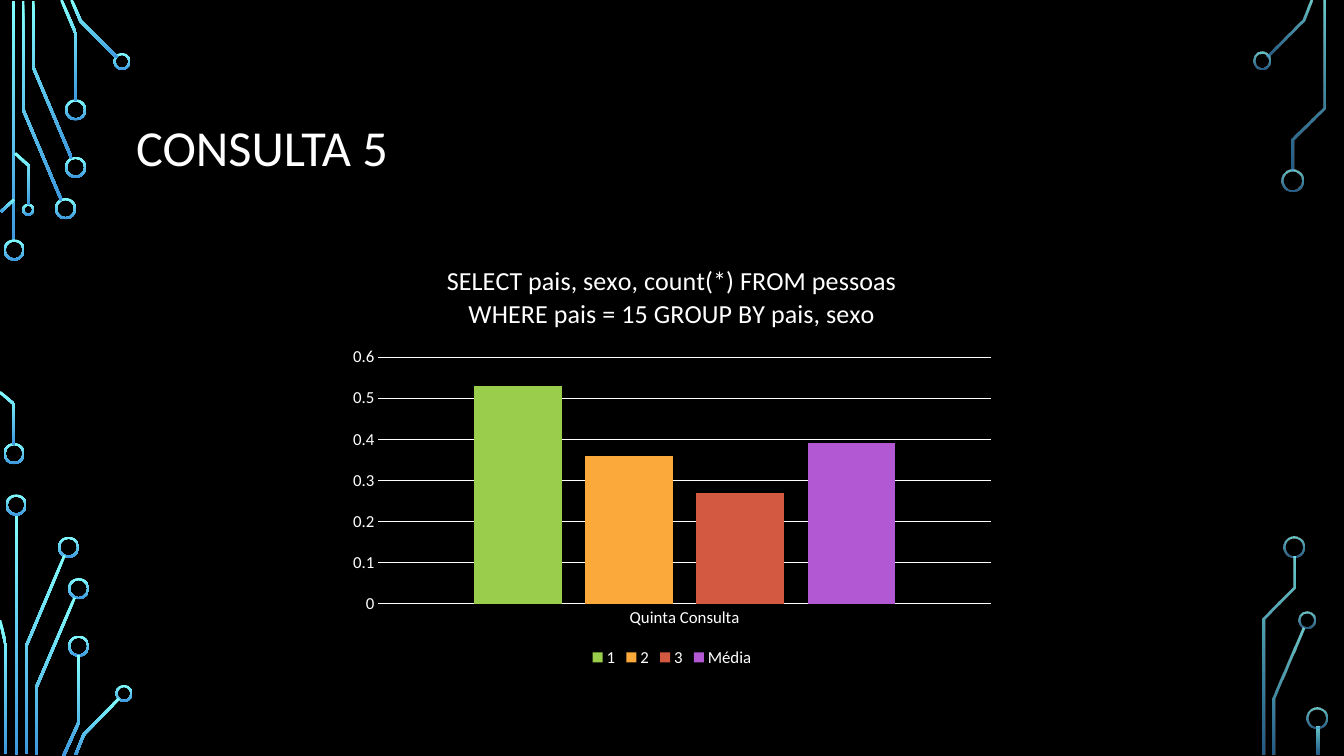
import pptx
import pptx.chart.data
import pptx.dml.color
import pptx.enum.chart
import pptx.enum.shapes
import pptx.enum.text
import pptx.oxml
import pptx.util

Inches, Pt = pptx.util.Inches, pptx.util.Pt
FONT = "Calibri"
WIDTH = 0.026  # of a trace
RIM = 0.02     # of a ring


def color(code):
    return pptx.dml.color.RGBColor.from_string(code)


def glow(shape, faded):
    """Fill with the cyan to blue fade, partly see-through when faded."""
    shape.shadow.inherit = False
    shape.line.fill.background()
    shape.fill.gradient()
    shape.fill.gradient_angle = 270
    for stop, code in zip(shape.fill.gradient_stops, ("82FFFF", "3D97DE")):
        stop.color.rgb = color(code)
    if faded:
        for node, alpha in zip(shape._element.xpath(".//a:gs/a:srgbClr"), (80000, 60000)):
            tag = '<a:alpha xmlns:a="http://schemas.openxmlformats.org/drawingml/2006/main" val="%d"/>'
            node.append(pptx.oxml.parse_xml(tag % alpha))


deck = pptx.Presentation()
deck.slide_width, deck.slide_height = Inches(13.33), Inches(7.5)
slide = deck.slides.add_slide(deck.slide_layouts[5])
slide.background.fill.solid()
slide.background.fill.fore_color.rgb = color("000000")
shapes = slide.shapes

# Circuit bars: left, top, height
bars = [(0.12, 0.01, 2.39), (0.15, 5.1, 2.39), (13.06, 7.21, 0.28)]
for left, top, height in bars:
    bar = shapes.add_shape(pptx.enum.shapes.MSO_SHAPE.RECTANGLE,
                           Inches(left), Inches(top), Inches(0.03), Inches(height))
    glow(bar, left > 6)

# Circuit rings: centre x, centre y, diameter
rings = [
    (0.14, 2.48, 0.21), (0.14, 4.5, 0.21), (0.65, 2.07, 0.21), (0.75, 1.66, 0.21),
    (0.75, 1.09, 0.21), (1.21, 0.61, 0.17), (0.28, 2.08, 0.12), (0.16, 5.01, 0.21),
    (0.68, 5.43, 0.21), (0.78, 5.84, 0.21), (0.78, 6.41, 0.21), (1.23, 6.88, 0.17),
    (12.52, 0.6, 0.17), (12.82, 1.79, 0.21), (12.96, 6.15, 0.17), (12.83, 5.43, 0.21),
    (13.06, 7.12, 0.21),
]
for x, y, size in rings:
    ring = shapes.add_shape(pptx.enum.shapes.MSO_SHAPE.DONUT, Inches(x - size / 2),
                            Inches(y - size / 2), Inches(size), Inches(size))
    ring.adjustments[0] = RIM / size
    glow(ring, x > 6)

# Circuit traces: points along the middle of each
traces = [
    [(0.23, 0.01), (0.23, 1.09), (0.61, 1.99)],
    [(0.33, 0.01), (0.33, 0.67), (0.71, 1.57)],
    [(0.61, 0), (0.75, 0.33), (0.75, 1)],
    [(0.71, 0), (0.8, 0.21), (1.16, 0.57)],
    [(0.01, 2.1), (0.14, 1.98)],
    [(0, 3.89), (0.14, 4.01), (0.14, 4.41)],
    [(0.15, 1.52), (0.29, 1.65), (0.29, 2.03)],
    [(0.26, 7.48), (0.26, 6.41), (0.64, 5.51)],
    [(0, 6.15), (0.06, 6.41), (0.06, 7.48)],
    [(0.36, 7.49), (0.36, 6.82), (0.74, 5.93)],
    [(0.63, 7.5), (0.78, 7.17), (0.78, 6.5)],
    [(0.75, 7.49), (0.83, 7.29), (1.18, 6.93)],
    [(12.57, 0.56), (12.93, 0.2), (13.01, 0)],
    [(12.63, 7.49), (12.63, 6.93), (12.93, 6.23)],
    [(12.82, 1.69), (12.82, 1.38), (13.13, 1.07), (13.13, 0.01)],
    [(12.53, 7.49), (12.53, 6.14), (12.84, 5.83), (12.84, 5.52)],
]
for trace in traces:
    spots = [complex(*spot) for spot in trace]
    sides = [1j * (b - a) / abs(b - a) for a, b in zip(spots, spots[1:])]
    joins = [(a + b) / (1 + (a * b.conjugate()).real)
             for a, b in zip(sides[:1] + sides, sides + sides[-1:])]
    near = [p + j * WIDTH / 2 for p, j in zip(spots, joins)]
    far = [p - j * WIDTH / 2 for p, j in zip(spots, joins)]
    edge = [(Inches(p.real), Inches(p.imag)) for p in near + far[::-1]]
    pen = shapes.build_freeform(*edge[0], scale=1.0)
    pen.add_line_segments(edge[1:], close=True)
    glow(pen.convert_to_shape(), trace[0][0] > 6)

# Title
title = shapes.title
box = {"left": 1.25, "top": 0.68, "width": 10.83, "height": 1.62}
for name, value in box.items():
    setattr(title, name, Inches(value))
title.text_frame.text = "CONSULTA 5"
title.text_frame.vertical_anchor = pptx.enum.text.MSO_ANCHOR.MIDDLE
line = title.text_frame.paragraphs[0]
line.alignment = pptx.enum.text.PP_ALIGN.LEFT
line.line_spacing = 0.9

# Chart
series = [("1", 0.53, "9ACD4C"), ("2", 0.36, "FAA93A"),
          ("3", 0.27, "D35940"), ("Média", 0.39, "B258D3")]
data = pptx.chart.data.CategoryChartData()
data.categories = ["Quinta Consulta"]
for name, value, code in series:
    data.add_series(name, [value])
kinds = pptx.enum.chart
chart = shapes.add_chart(kinds.XL_CHART_TYPE.COLUMN_CLUSTERED, Inches(3.37), Inches(2.42),
                         Inches(6.59), Inches(4.24), data).chart
plot = chart.plots[0]
plot.gap_width, plot.overlap, plot.vary_by_categories = 219, -27, False
for item, (name, value, code) in zip(plot.series, series):
    item.format.fill.solid()
    item.format.fill.fore_color.rgb = color(code)

chart.has_title = True
head = chart.chart_title
head.include_in_layout = False
head.text_frame.text = "SELECT pais, sexo, count(*) FROM pessoas WHERE pais = 15 GROUP BY pais, sexo"
chart.has_legend = True
chart.legend.position = kinds.XL_LEGEND_POSITION.BOTTOM
chart.legend.include_in_layout = False

cats, vals = chart.category_axis, chart.value_axis
for axis in (cats, vals):
    axis.major_tick_mark = axis.minor_tick_mark = kinds.XL_TICK_MARK.NONE
scale = {"minimum_scale": 0, "maximum_scale": 0.6, "major_unit": 0.1,
         "has_major_gridlines": True}
for name, value in scale.items():
    setattr(vals, name, value)
vals.tick_labels.number_format = "General"
vals.tick_labels.number_format_is_linked = False
vals.format.line.fill.background()
for rule in (cats.format.line, vals.major_gridlines.format.line):
    rule.width = Pt(0.75)
    rule.color.rgb = color("FFFFFF")

fonts = [(line.runs[0].font, 36), (chart.font, 10), (chart.legend.font, 12),
         (cats.tick_labels.font, 12), (vals.tick_labels.font, 12),
         (head.text_frame.paragraphs[0].runs[0].font, 18.6)]
for font, size in fonts:
    for name, value in {"name": FONT, "size": Pt(size), "bold": False}.items():
        setattr(font, name, value)
    font.color.rgb = color("FFFFFF")

deck.save("out.pptx")
